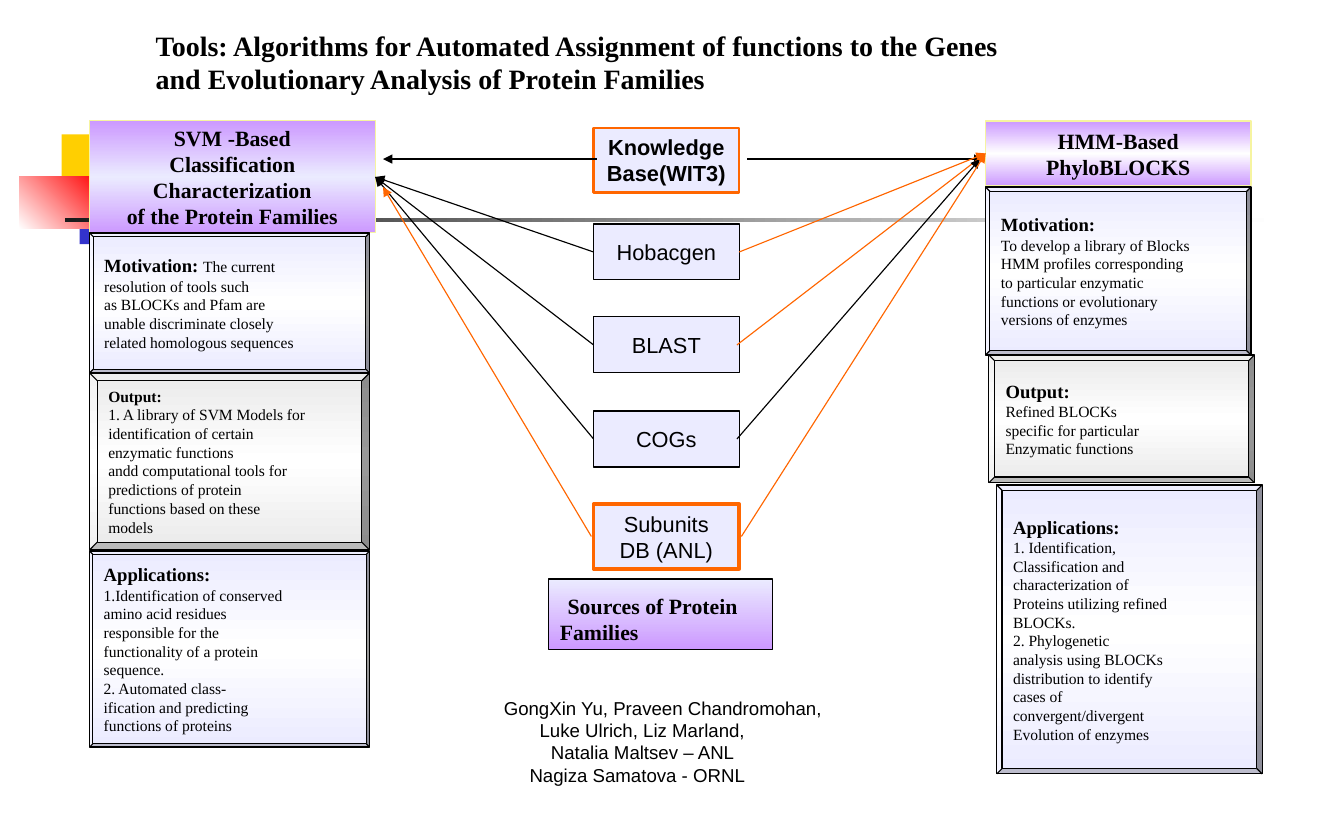
from dataclasses import dataclass, field
from typing import NamedTuple

import pptx
import pptx.dml.color
import pptx.enum.shapes
import pptx.enum.text
import pptx.oxml
import pptx.oxml.ns
import pptx.util
from lxml import etree

COLUMNS, ROWS = 120, 75
RECT = pptx.enum.shapes.MSO_SHAPE.RECTANGLE
BEVEL = pptx.enum.shapes.MSO_SHAPE.BEVEL
CENTER = pptx.enum.text.PP_ALIGN.CENTER
LEFT = pptx.enum.text.PP_ALIGN.LEFT
TOP = pptx.enum.text.MSO_ANCHOR.TOP
MIDDLE = pptx.enum.text.MSO_ANCHOR.MIDDLE


@dataclass(frozen=True)
class Theme:
    serif: str = "Times New Roman"
    sans: str = "Arial"
    title: int = 18
    label: int = 14
    heading: int = 12
    body: int = 10
    ink: str = "000000"
    orange: str = "FF6600"
    pale: str = "EBEBFF"
    gray: str = "EAEAEA"
    violet: str = "CC99FF"
    cream: str = "F6F4A0"
    white: str = "FFFFFF"
    yellow: str = "FFCF01"
    blue: str = "3333CC"
    red: str = "FF0000"
    charcoal: str = "1C1C1C"


THEME = Theme()


class Area(NamedTuple):
    col: float
    row: float
    cols: float
    rows: float


class Paint(NamedTuple):
    stops: tuple[str, ...]
    angle: int = 90


class Outline(NamedTuple):
    color: str
    width: float = 0.75


class Link(NamedTuple):
    start_col: float
    end_col: float
    end_row: float
    color: str


@dataclass(frozen=True)
class Source:
    name: str
    row: float
    links: tuple[Link, Link]
    rows: float = 5
    outline: Outline = Outline(THEME.ink)
    bold: bool = False


@dataclass(frozen=True)
class Panel:
    area: Area
    bevel: float
    heading: str
    lines: tuple[str, ...]
    lead: str = ""
    tint: str = THEME.pale
    heading_size: int = field(default=THEME.heading)


DECOR = (
    (Area(5.5, 12, 5.7, 5.2), Paint((THEME.yellow,))),
    (Area(7.1, 16.6, 5.5, 5.2), Paint((THEME.blue,))),
    (Area(1.7, 15.8, 7.4, 4.6), Paint((THEME.red, THEME.white), 135)),
    (Area(5.8, 19.5, 108, 0.3), Paint((THEME.white, THEME.charcoal), 180)),
)
HEADERS = (
    (Area(8, 10.8, 25.5, 10), THEME.pale,
     "SVM -Based\nClassification\nCharacterization\nof the Protein Families"),
    (Area(88, 10.8, 23.7, 5.8), THEME.white, "HMM-Based\nPhyloBLOCKS"),
)
SOURCES = (
    Source("Knowledge\nBase(WIT3)", 11.4,
           (Link(53.3, 34.2, 14.2, THEME.ink), Link(66.7, 87.8, 14.2, THEME.ink)),
           5.8, Outline(THEME.orange, 1.5), True),
    Source("Hobacgen", 20,
           (Link(53, 33.5, 15.8, THEME.ink), Link(66, 88, 13.7, THEME.orange))),
    Source("BLAST", 28.3,
           (Link(53, 33.5, 15.8, THEME.ink), Link(65.8, 88, 13.7, THEME.orange))),
    Source("COGs", 36.7,
           (Link(53, 33.5, 15.8, THEME.ink), Link(65.8, 87.5, 14.2, THEME.ink))),
    Source("Subunits\nDB (ANL)", 45,
           (Link(52.8, 34.2, 16.7, THEME.orange), Link(66.2, 88, 13.7, THEME.orange)),
           5.8, Outline(THEME.orange, 2.25)),
)
PANELS = (
    Panel(Area(8, 20.8, 25, 12.5), 0.026, "Motivation: ",
          ("resolution of tools such", "as BLOCKs and Pfam are",
           "unable discriminate closely", "related homologous sequences"),
          lead="The current"),
    Panel(Area(8, 33.3, 25, 15.8), 0.044, "Output:",
          ("1. A library of SVM Models for", "identification of certain",
           "enzymatic functions", "andd computational tools for",
           "predictions of protein", "functions based on these", "models"),
          tint=THEME.gray, heading_size=THEME.body),
    Panel(Area(8, 49.2, 25, 17.5), 0.016, "Applications:",
          ("1.Identification of conserved", "amino acid residues",
           "responsible for the", "functionality of a protein", "sequence.",
           "2. Automated class-", "ification and predicting", "functions of proteins")),
    Panel(Area(88, 16.7, 23.7, 15), 0.026, "Motivation:",
          ("To develop a library of Blocks", "HMM profiles corresponding",
           "to particular enzymatic", "functions or evolutionary", "versions of enzymes")),
    Panel(Area(89, 43.3, 23.7, 25.8), 0.02, "Applications:",
          ("1. Identification,", "Classification and", "characterization of",
           "Proteins utilizing refined", "BLOCKs.", "2. Phylogenetic",
           "analysis using BLOCKs", "distribution to identify", "cases of",
           "convergent/divergent", "Evolution of enzymes")),
    Panel(Area(88.3, 31.7, 23.7, 11.4), 0.044, "Output:",
          ("Refined BLOCKs", "specific for particular", "Enzymatic functions"),
          tint=THEME.gray),
)
AUTHORS = (("GongXin Yu, Praveen Chandromohan,", 0), ("Luke Ulrich, Liz Marland,", 0.32),
           ("Natalia Maltsev – ANL", 0.42), ("Nagiza Samatova - ORNL", 0.23))

deck = pptx.Presentation()
deck.slide_width, deck.slide_height = pptx.util.Inches(12), pptx.util.Inches(7.5)
slide = deck.slides.add_slide(deck.slide_layouts[5])


def across(col: float) -> int:
    return round(deck.slide_width * col / COLUMNS)


def down(row: float) -> int:
    return round(deck.slide_height * row / ROWS)


def place(area: Area) -> tuple[int, int, int, int]:
    return across(area.col), down(area.row), across(area.cols), down(area.rows)


def rgb(color: str) -> pptx.dml.color.RGBColor:
    return pptx.dml.color.RGBColor.from_string(color)


def paint(shape, look: Paint) -> None:
    if len(look.stops) == 1:
        shape.fill.solid()
        shape.fill.fore_color.rgb = rgb(look.stops[0])
        return
    step = 100000 // (len(look.stops) - 1)
    stops = "".join(f'<a:gs pos="{i * step}"><a:srgbClr val="{color}"/></a:gs>'
                    for i, color in enumerate(look.stops))
    shape._element.spPr.find(pptx.oxml.ns.qn("a:prstGeom")).addnext(pptx.oxml.parse_xml(
        f'<a:gradFill {pptx.oxml.ns.nsdecls("a")}><a:gsLst>{stops}</a:gsLst>'
        f'<a:lin ang="{look.angle * 60000}" scaled="0"/></a:gradFill>'))


def draw_block(area: Area, look: Paint, outline: Outline | None = None, kind=RECT):
    block = slide.shapes.add_shape(kind, *place(area))
    block.shadow.inherit = False
    paint(block, look)
    if outline:
        block.line.color.rgb = rgb(outline.color)
        block.line.width = pptx.util.Pt(outline.width)
    else:
        block.line.fill.background()
    return block


def style(run, face: str, size: int, bold: bool = False) -> None:
    run.font.name, run.font.size, run.font.bold = face, pptx.util.Pt(size), bold
    run.font.color.rgb = rgb(THEME.ink)


def write(shape, text: str, face: str, size: int, bold: bool = False,
          align=CENTER, anchor=MIDDLE, wrap: bool = False) -> None:
    frame = shape.text_frame
    frame.text = text
    frame.word_wrap, frame.vertical_anchor = wrap, anchor
    frame.auto_size = pptx.enum.text.MSO_AUTO_SIZE.NONE
    for paragraph in frame.paragraphs:
        paragraph.alignment = align
        for run in paragraph.runs:
            style(run, face, size, bold)


def draw_panel(panel: Panel) -> None:
    block = draw_block(panel.area, Paint((panel.tint, THEME.white, panel.tint)),
                       Outline(THEME.ink), BEVEL)
    block.adjustments[0] = panel.bevel
    write(block, "\n".join((panel.heading, *panel.lines)), THEME.serif, THEME.body,
          align=LEFT, wrap=True)
    opening = block.text_frame.paragraphs[0]
    style(opening.runs[0], THEME.serif, panel.heading_size, True)
    if panel.lead:
        lead = opening.add_run()
        lead.text = panel.lead
        style(lead, THEME.serif, THEME.body)


def draw_link(link: Link, row: float) -> None:
    arrow = slide.shapes.add_connector(
        pptx.enum.shapes.MSO_CONNECTOR.STRAIGHT, across(link.start_col), down(row),
        across(link.end_col), down(link.end_row))
    arrow.line.color.rgb = rgb(link.color)
    arrow.line.width = pptx.util.Pt(0.75)
    etree.SubElement(arrow.line._get_or_add_ln(), pptx.oxml.ns.qn("a:tailEnd"), type="triangle")
    etree.SubElement(arrow._element.spPr, pptx.oxml.ns.qn("a:effectLst"))


title = slide.shapes.title
title.left, title.top, title.width, title.height = place(Area(12.9, 2, 80, 7))
write(title, "Tools: Algorithms for Automated Assignment of functions to the Genes\n"
      "and Evolutionary Analysis of Protein Families",
      THEME.serif, THEME.title, True, LEFT, TOP, True)

for area, look in DECOR:
    draw_block(area, look)
for area, glow, name in HEADERS:
    header = draw_block(area, Paint((THEME.violet, glow, THEME.violet)), Outline(THEME.cream))
    write(header, name, THEME.serif, THEME.label, True)
for source in SOURCES:
    node = draw_block(Area(53, source.row, 13, source.rows), Paint((THEME.pale,)), source.outline)
    write(node, source.name, THEME.sans, THEME.label, source.bold)
for panel in PANELS:
    draw_panel(panel)
for source in SOURCES:
    for link in source.links:
        level = link.end_row if source.bold else source.row + source.rows / 2
        draw_link(link, level)

caption = draw_block(Area(49, 51.7, 20, 6.3), Paint((THEME.pale, THEME.violet)), Outline(THEME.ink))
write(caption, "Sources of Protein Families", THEME.serif, THEME.label, True, LEFT, TOP, True)
caption.text_frame.margin_top = pptx.util.Inches(0.12)
caption.text_frame.paragraphs[0]._p.get_or_add_pPr().set("indent", str(pptx.util.Inches(0.07)))

authors = draw_block(Area(44, 61.7, 31.4, 9), Paint((THEME.white,)))
write(authors, "\n".join(name for name, _ in AUTHORS), THEME.sans, THEME.heading,
      align=LEFT, anchor=TOP, wrap=True)
for paragraph, (_, indent) in zip(authors.text_frame.paragraphs, AUTHORS):
    paragraph._p.get_or_add_pPr().set("marL", str(pptx.util.Inches(indent)))

deck.save("out.pptx")
